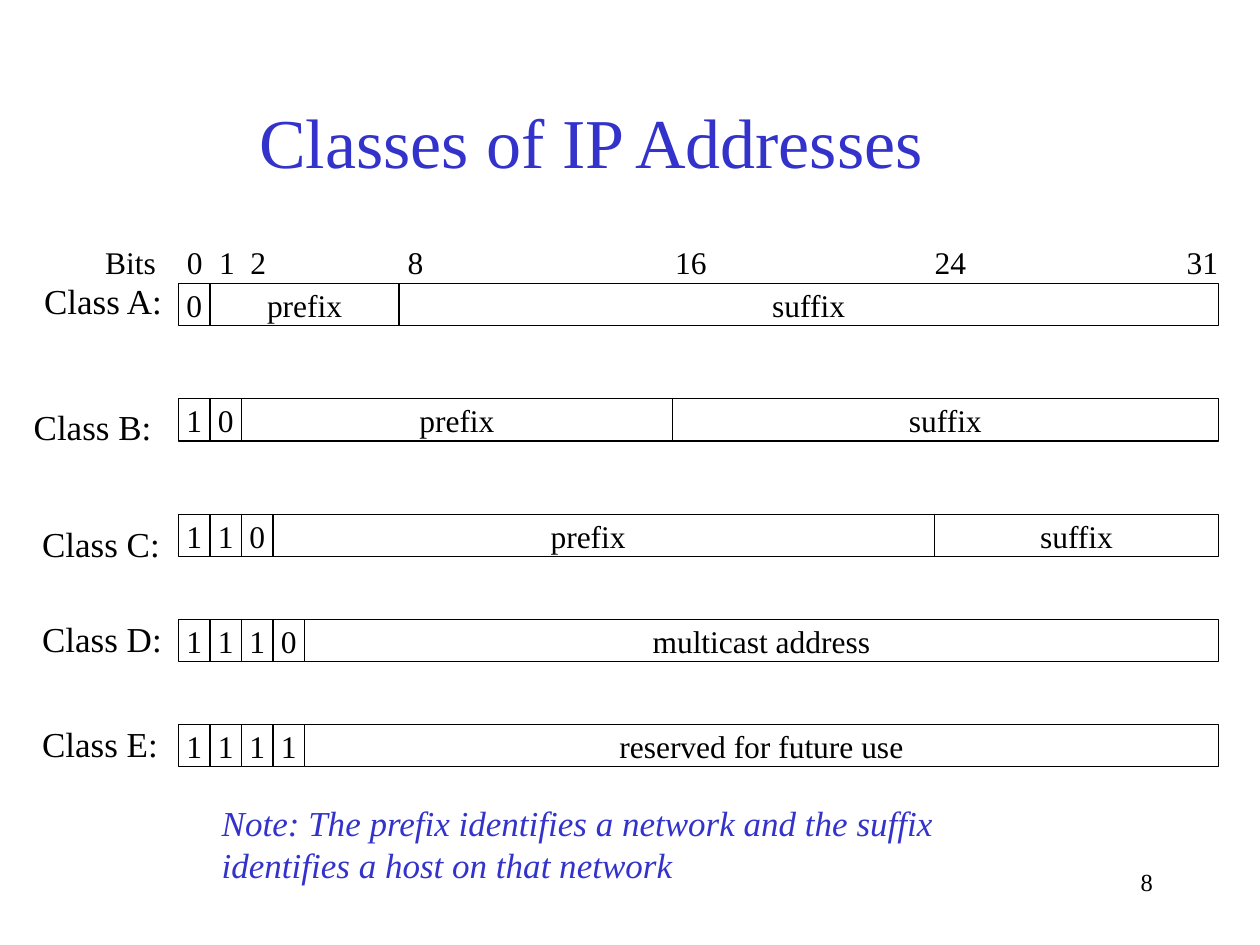
from lxml import etree
from pptx import Presentation
from pptx import util as u
from pptx.dml import color
from pptx.enum import shapes, text
from pptx.oxml import ns

FONT = "Times New Roman"
INK, BLUE, WHITE = "000000", "3333CC", "FFFFFF"
LEFT, WIDE, HIGH = 3.6, 20.96, 0.85
BITS = 33
ALIGN = text.PP_ALIGN


def paint(code):
    return color.RGBColor.from_string(code)


def place(box):
    return [u.Cm(n) for n in box]


def write(para, words, size, tint=INK, slant=False, align=ALIGN.LEFT):
    para.alignment = align
    run = para.add_run()
    run.text = words
    font = run.font
    font.name, font.size, font.italic = FONT, u.Pt(size), slant
    font.color.rgb = paint(tint)


def label(slide, box, lines, size, wrap=False, **look):
    frame = slide.shapes.add_textbox(*place(box)).text_frame
    frame.word_wrap = wrap
    if not wrap:
        frame.auto_size = text.MSO_AUTO_SIZE.SHAPE_TO_FIT_TEXT
    for i, line in enumerate(lines):
        para = frame.add_paragraph() if i else frame.paragraphs[0]
        write(para, line, size, **look)
    return frame


def title(slide, box, words):
    shape = slide.shapes.title
    shape.left, shape.top, shape.width, shape.height = place(box)
    frame = shape.text_frame
    frame.auto_size = text.MSO_AUTO_SIZE.NONE
    frame.vertical_anchor = text.MSO_ANCHOR.BOTTOM
    write(frame.paragraphs[0], words, 40, BLUE, align=ALIGN.CENTER)


def scale(slide, box, words, stops):
    frame = label(slide, box, ["\t".join(words)], 18, wrap=True)
    frame.margin_right = 0
    props = frame.paragraphs[0]._p.get_or_add_pPr()
    tabs = etree.SubElement(props, ns.qn("a:tabLst"))
    for stop in stops:
        etree.SubElement(tabs, ns.qn("a:tab"), pos=str(u.Cm(stop)), algn="l")


def cell(slide, box, words):
    shape = slide.shapes.add_shape(shapes.MSO_SHAPE.RECTANGLE, *place(box))
    shape.shadow.inherit = False
    shape.fill.solid()
    shape.fill.fore_color.rgb = paint(WHITE)
    shape.line.color.rgb = paint(INK)
    shape.line.width = u.Pt(0.75)
    frame = shape.text_frame
    frame.word_wrap = False
    frame.vertical_anchor = text.MSO_ANCHOR.MIDDLE
    write(frame.paragraphs[0], words, 18, align=ALIGN.CENTER)


def layout(slide, box, lead, fields):
    left, top, wide, high = box
    bit = wide / BITS
    ends = [start for _, start in fields[1:]] + [BITS]
    cells = [(words, start, end) for (words, start), end in zip(fields, ends)]
    cells += [(digit, i, i + 1) for i, digit in enumerate(lead)]
    for words, start, end in cells:
        cell(slide, (left + start * bit, top, (end - start) * bit, high), words)


def main():
    deck = Presentation()
    deck.slide_width, deck.slide_height = u.Cm(25.4), u.Cm(19.05)
    slide = deck.slides.add_slide(deck.slide_layouts[5])
    title(slide, (1.12, 0.62, 21.59, 3.18), "Classes of IP Addresses")
    scale(slide, (1.87, 4.78, 22.96, 1.02),
          ["Bits", "0", "1", "2", "8", "16", "24", "31"],
          [1.65, 2.3, 2.93, 6.1, 11.49, 16.72, 21.8])

    rows = [
        ("A", 5.72, (0.64, 5.51), "0", [("prefix", 1), ("suffix", 7)]),
        ("B", 8.04, (0.43, 8.05), "10", [("prefix", 2), ("suffix", 15.67)]),
        ("C", 10.37, (0.6, 10.41), "110", [("prefix", 2), ("suffix", 24)]),
        ("D", 12.49, (0.6, 12.32), "1110", [("multicast address", 4)]),
        ("E", 14.61, (0.6, 14.44), "1111", [("reserved for future use", 4)]),
    ]
    for name, top, spot, lead, fields in rows:
        layout(slide, (LEFT, top, WIDE, HIGH), lead, fields)
        label(slide, (*spot, 2.96, 1.12), [f"Class {name}:"], 20)

    label(slide, (4.22, 16.03, 15.06, 1.96),
          ["Note: The prefix identifies a network and the suffix",
           "identifies a host on that network"], 20, tint=BLUE, slant=True)
    label(slide, (18.21, 17.35, 5.28, 1.27), ["8"], 14, wrap=True, align=ALIGN.RIGHT)
    deck.save("out.pptx")


if __name__ == "__main__":
    main()
